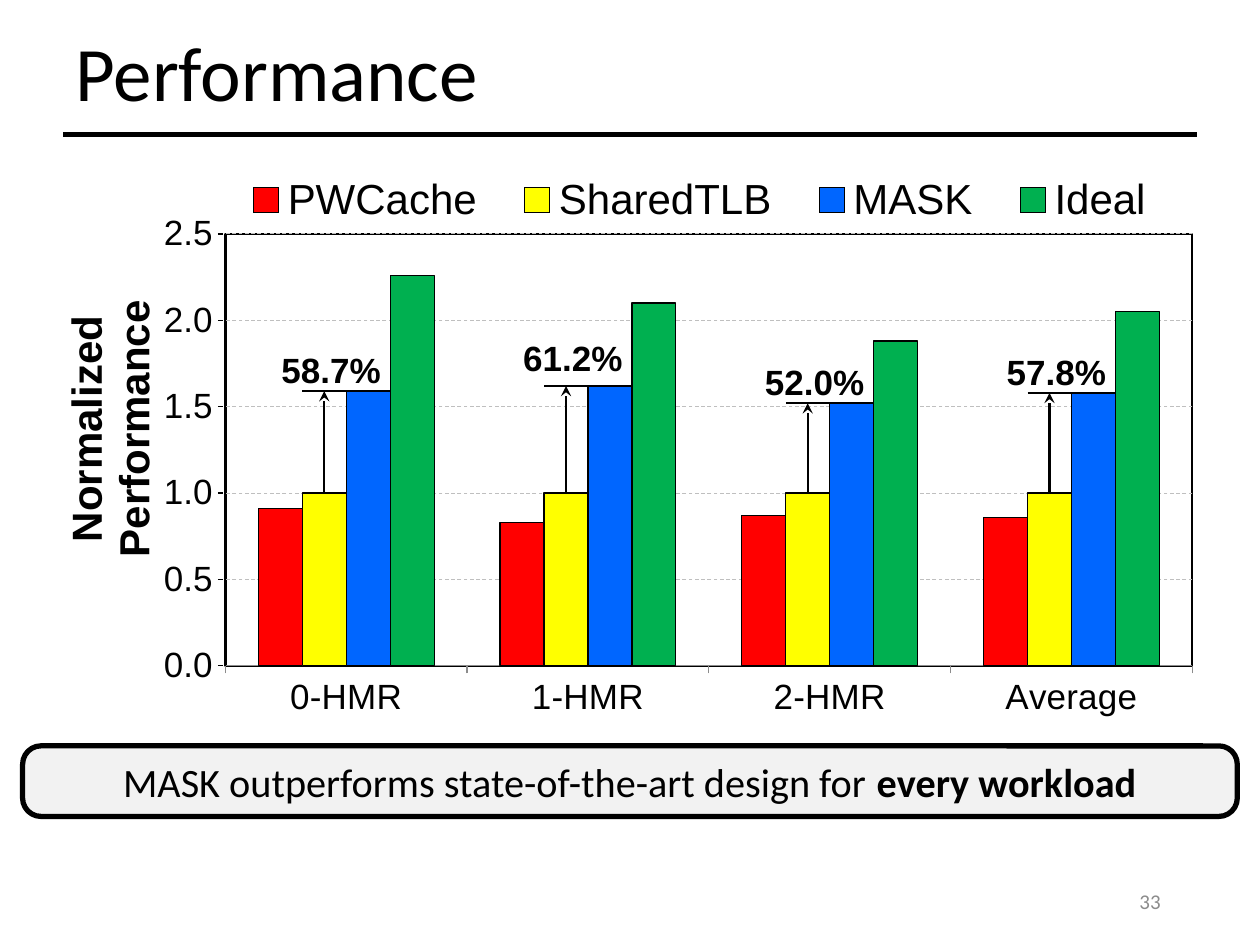
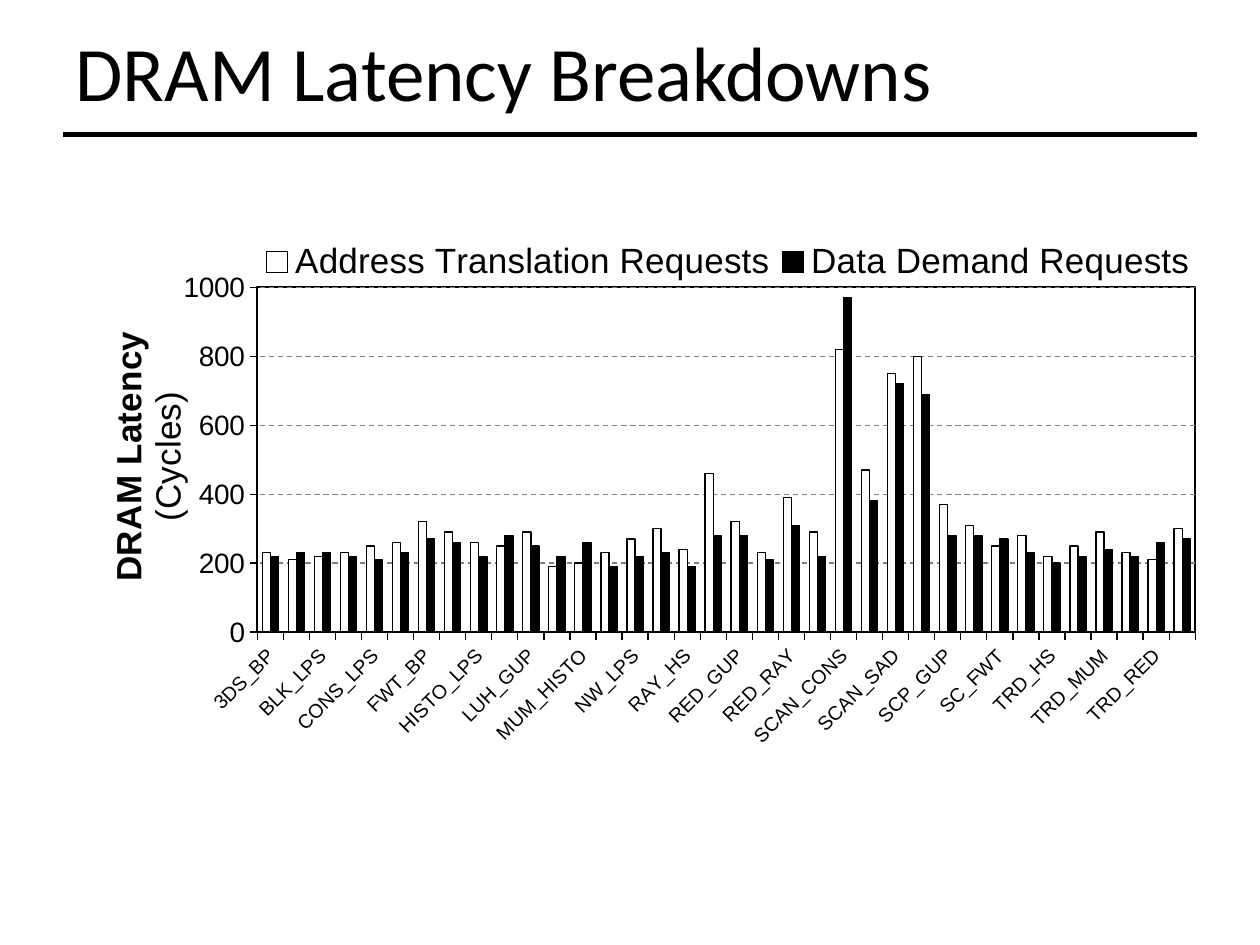
from pptx import Presentation
from pptx.chart.data import CategoryChartData
from pptx.dml.color import RGBColor
from pptx.enum.chart import XL_CHART_TYPE, XL_LEGEND_POSITION, XL_TICK_MARK
from pptx.enum.dml import MSO_LINE
from pptx.enum.shapes import MSO_CONNECTOR, MSO_SHAPE
from pptx.enum.text import MSO_ANCHOR, PP_ALIGN
from pptx.oxml import parse_xml
from pptx.oxml.ns import nsdecls, qn
from pptx.util import Inches, Pt

CLUSTERED = XL_CHART_TYPE.COLUMN_CLUSTERED
TOP = XL_LEGEND_POSITION.TOP
OUTSIDE = XL_TICK_MARK.OUTSIDE
DASH = MSO_LINE.DASH
STRAIGHT = MSO_CONNECTOR.STRAIGHT
RECT, ROUNDED = MSO_SHAPE.RECTANGLE, MSO_SHAPE.ROUNDED_RECTANGLE
MIDDLE = MSO_ANCHOR.MIDDLE
LEFT, CENTER, RIGHT = PP_ALIGN.LEFT, PP_ALIGN.CENTER, PP_ALIGN.RIGHT

WIDTH, HEIGHT = Inches(10), Inches(7.5)
COL, ROW = WIDTH / 100, HEIGHT / 75
COLORS = {
    "black": "000000", "white": "FFFFFF", "panel": "F2F2F2",
    "number": "8C8C8C", "light_grid": "BFBFBF", "dark_grid": "808080",
    "red": "FF0000", "yellow": "FFFF00", "blue": "0066FF", "green": "00B050",
}
BODY, CHART_FONT = "Calibri", "Arial"

PERFORMANCE_AT = (3.2, 11.7, 91.8, 49.4)
PERFORMANCE_PLOT = (0.16, 0.139, 0.836, 0.694)
PERFORMANCE_MAX = 2.5
PERFORMANCE_GAP = 150
HMR_GROUPS = ["0-HMR", "1-HMR", "2-HMR", "Average"]
PERFORMANCE = [
    ("PWCache", "red", [0.91, 0.83, 0.87, 0.86]),
    ("SharedTLB", "yellow", [1, 1, 1, 1]),
    ("MASK", "blue", [1.59, 1.62, 1.52, 1.58]),
    ("Ideal", "green", [2.26, 2.1, 1.88, 2.05]),
]
GAINS = [("58.7%", 1.7), ("61.2%", 2.3), ("52.0%", 1.7), ("57.8%", 1.7)]

WORKLOADS = (
    "3DS_BP 3DS_HISTO BLK_LPS CFD_MM CONS_LPS CONS_LUH FWT_BP HISTO_GUP "
    "HISTO_LPS LUH_BFS2 LUH_GUP MM_CONS MUM_HISTO NW_HS NW_LPS RAY_GUP "
    "RAY_HS RED_BP RED_GUP RED_MM RED_RAY RED_SC SCAN_CONS SCAN_HISTO "
    "SCAN_SAD SCAN_SRAD SCP_GUP SCP_HS SC_FWT SRAD_3DS TRD_HS TRD_LPS "
    "TRD_MUM TRD_RAY TRD_RED Average"
).split()
LATENCY = [
    ("Address Translation Requests", "white",
     [230, 210, 220, 230, 250, 260, 320, 290, 260, 250, 290, 190,
      200, 230, 270, 300, 240, 460, 320, 230, 390, 290, 820, 470,
      750, 800, 370, 310, 250, 280, 220, 250, 290, 230, 210, 300]),
    ("Data Demand Requests", "black",
     [220, 230, 230, 220, 210, 230, 270, 260, 220, 280, 250, 220,
      260, 190, 220, 230, 190, 280, 280, 210, 310, 220, 970, 380,
      720, 690, 280, 280, 270, 230, 200, 220, 240, 220, 260, 270]),
]


def rgb(name):
    return RGBColor.from_string(COLORS[name])


def grid(x, y, w, h):
    return int(x * COL), int(y * ROW), int(w * COL), int(h * ROW)


def style_font(font, size, name=BODY, color="black", bold=False):
    font.size, font.name, font.bold = Pt(size), name, bold
    font.color.rgb = rgb(color)


def style_line(line, width, color="black", dash=None):
    line.color.rgb = rgb(color)
    line.width = Pt(width)
    if dash is not None:
        line.dash_style = dash


def add_line(s, x1, y1, x2, y2, width, arrow=False):
    line = s.shapes.add_connector(STRAIGHT, int(x1 * COL), int(y1 * ROW),
                                  int(x2 * COL), int(y2 * ROW))
    style_line(line.line, width)
    if arrow:
        line.line._get_or_add_ln().append(
            parse_xml(f'<a:tailEnd {nsdecls("a")} type="stealth"/>'))
    line._element.spPr.append(parse_xml(f'<a:effectLst {nsdecls("a")}/>'))


def add_panel(s, kind, at, fill):
    sp = s.shapes.add_shape(kind, *grid(*at))
    sp.shadow.inherit = False
    sp.fill.solid()
    sp.fill.fore_color.rgb = rgb(fill)
    sp.line.fill.background()
    sp.text_frame.vertical_anchor = MIDDLE
    sp.text_frame.paragraphs[0].alignment = CENTER
    return sp


def add_titled_slide(prs, title):
    s = prs.slides.add_slide(prs.slide_layouts[5])
    sp = s.shapes.title
    sp.left, sp.top, sp.width, sp.height = grid(5, 1.4, 90, 9.3)
    tf = sp.text_frame
    tf.text = title
    tf.vertical_anchor = MIDDLE
    p = tf.paragraphs[0]
    p.alignment, p.line_spacing = LEFT, 0.9
    style_font(p.font, 44)
    add_line(s, 5, 10.7, 95, 10.7, 3)
    return s


def set_layout(parent, index, x, y, w=None, h=None, inner=False):
    for old in parent.findall(qn("c:layout")):
        parent.remove(old)
    target = '<c:layoutTarget val="inner"/>' if inner else ""
    modes = '<c:xMode val="edge"/><c:yMode val="edge"/>'
    sizes = "".join(f'<c:{key} val="{value}"/>'
                    for key, value in zip("xywh", (x, y, w, h))
                    if value is not None)
    parent.insert(index, parse_xml(
        f'<c:layout {nsdecls("c")}><c:manualLayout>{target}{modes}{sizes}'
        '</c:manualLayout></c:layout>'))


def add_column_chart(s, at, categories, series, gap, plot_at):
    data = CategoryChartData()
    data.categories = categories
    for name, _, values in series:
        data.add_series(name, values)
    chart = s.shapes.add_chart(CLUSTERED, *grid(*at), data).chart
    chart.has_title = False
    style_font(chart.font, 10)
    plot = chart.plots[0]
    plot.gap_width, plot.overlap = gap, 0
    plot.vary_by_categories = False
    for bars, (_, color, _) in zip(plot.series, series):
        bars.invert_if_negative = False
        bars.format.fill.solid()
        bars.format.fill.fore_color.rgb = rgb(color)
        style_line(bars.format.line, 0.75)
    area = chart._chartSpace.chart.plotArea
    set_layout(area, 0, *plot_at, inner=True)
    area.append(parse_xml(
        f'<c:spPr {nsdecls("c", "a")}><a:noFill/><a:ln w="{Pt(1.25)}">'
        f'<a:solidFill><a:srgbClr val="{COLORS["black"]}"/></a:solidFill>'
        '</a:ln></c:spPr>'))
    return chart


def style_legend(chart, size, at):
    chart.has_legend = True
    legend = chart.legend
    legend.position, legend.include_in_layout = TOP, False
    style_font(legend.font, size, CHART_FONT)
    set_layout(legend._element, 1, *at)


def style_axis_title(axis, lines, size, at):
    tf = axis.axis_title.text_frame
    for i, (text, bold) in enumerate(lines):
        p = tf.paragraphs[0] if i == 0 else tf.add_paragraph()
        r = p.add_run()
        r.text = text
        for font in (p.font, r.font):
            style_font(font, size, CHART_FONT, bold=bold)
    body = tf._txBody.bodyPr
    body.set("rot", "-5400000")
    body.set("vert", "horz")
    set_layout(axis.axis_title._element, 1, *at)


def style_value_axis(axis, top, step, fmt, size, grid_color, grid_width):
    axis.minimum_scale, axis.maximum_scale, axis.major_unit = 0, top, step
    axis.major_tick_mark = OUTSIDE
    axis.tick_labels.number_format = fmt
    axis.tick_labels.number_format_is_linked = False
    style_font(axis.tick_labels.font, size, CHART_FONT)
    style_line(axis.major_gridlines.format.line, grid_width, grid_color, DASH)


def style_category_axis(axis, size, line_color):
    axis.major_tick_mark = OUTSIDE
    style_font(axis.tick_labels.font, size, CHART_FONT)
    style_line(axis.format.line, 0.75, line_color)


def add_gain(s, index, text, lift):
    chart_x, chart_y, chart_w, chart_h = PERFORMANCE_AT
    x, y, w, h = PERFORMANCE_PLOT
    group = chart_w * w / len(HMR_GROUPS)
    gap = PERFORMANCE_GAP / 100
    bar = group / (len(PERFORMANCE) + gap)
    left = chart_x + chart_w * x + group * index + bar * (1 + gap / 2)

    def level(value):
        return chart_y + chart_h * (y + h * (1 - value / PERFORMANCE_MAX))

    base, peak = (level(PERFORMANCE[k][2][index]) for k in (1, 2))
    add_line(s, left, peak, left + 2 * bar, peak, 1.25)
    add_line(s, left + bar / 2, base, left + bar / 2, peak, 1.25, arrow=True)
    sp = add_panel(s, RECT, (left - 0.2, peak - lift - 0.75, 5, 1.5), "white")
    tf = sp.text_frame
    tf.margin_left = tf.margin_right = tf.margin_top = tf.margin_bottom = 0
    tf.word_wrap = False
    p = tf.paragraphs[0]
    p.text = text
    style_font(p.font, 20, CHART_FONT, bold=True)


def add_takeaway(s, text, strong):
    sp = add_panel(s, ROUNDED, (1.8, 59.2, 96.4, 5.6), "panel")
    sp.adjustments[0] = 0.26
    style_line(sp.line, 3)
    p = sp.text_frame.paragraphs[0]
    for part, bold in ((text, False), (strong, True)):
        r = p.add_run()
        r.text = part
        style_font(r.font, 23, bold=bold)


def add_slide_number(s, number):
    tf = s.shapes.add_textbox(*grid(70.6, 69.5, 22.5, 4)).text_frame
    tf.word_wrap = True
    tf.vertical_anchor = MIDDLE
    p = tf.paragraphs[0]
    p.text, p.alignment = number, RIGHT
    style_font(p.font, 12, color="number")


def build_performance(prs):
    s = add_titled_slide(prs, "Performance")
    chart = add_column_chart(s, PERFORMANCE_AT, HMR_GROUPS, PERFORMANCE,
                             PERFORMANCE_GAP, PERFORMANCE_PLOT)
    style_legend(chart, 24, (0.155, 0.045, 0.83, 0.08))
    axis = chart.value_axis
    style_value_axis(axis, PERFORMANCE_MAX, 0.5, "#,##0.0", 20,
                     "light_grid", 0.5)
    style_line(axis.format.line, 0.75, dash=DASH)
    style_axis_title(axis, [("Normalized", True), ("Performance", True)],
                     24, (0.015, 0.24))
    style_category_axis(chart.category_axis, 20, "number")
    for index, (text, lift) in enumerate(GAINS):
        add_gain(s, index, text, lift)
    add_takeaway(s, "MASK outperforms state-of-the-art design for ",
                 "every workload")
    add_slide_number(s, "33")


def build_latency(prs):
    s = add_titled_slide(prs, "DRAM Latency Breakdowns")
    chart = add_column_chart(s, (5, 14.4, 91.8, 55.3), WORKLOADS, LATENCY,
                             120, (0.168, 0.152, 0.811, 0.495))
    style_legend(chart, 20, (0.165, 0.08, 0.82, 0.07))
    axis = chart.value_axis
    style_value_axis(axis, 1000, 200, "General", 16, "dark_grid", 0.75)
    style_line(axis.format.line, 0.75)
    style_axis_title(axis, [("DRAM Latency", True), ("(Cycles)", False)],
                     20, (0.035, 0.21))
    style_category_axis(chart.category_axis, 11.2, "black")
    labels = chart.category_axis._element.find(qn("c:txPr"))
    labels.find(qn("a:bodyPr")).set("rot", "-2700000")


def main():
    prs = Presentation()
    prs.slide_width, prs.slide_height = WIDTH, HEIGHT
    build_performance(prs)
    build_latency(prs)
    prs.save("out.pptx")


if __name__ == "__main__":
    main()
